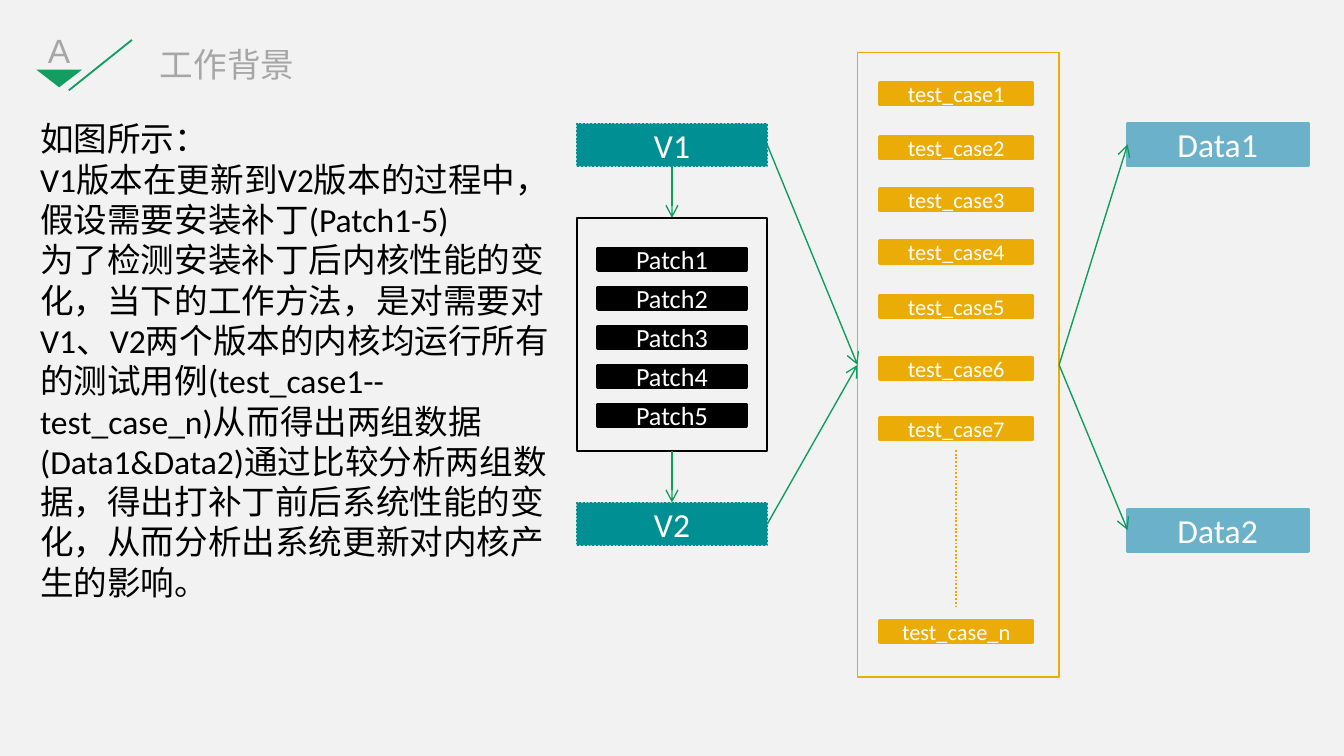
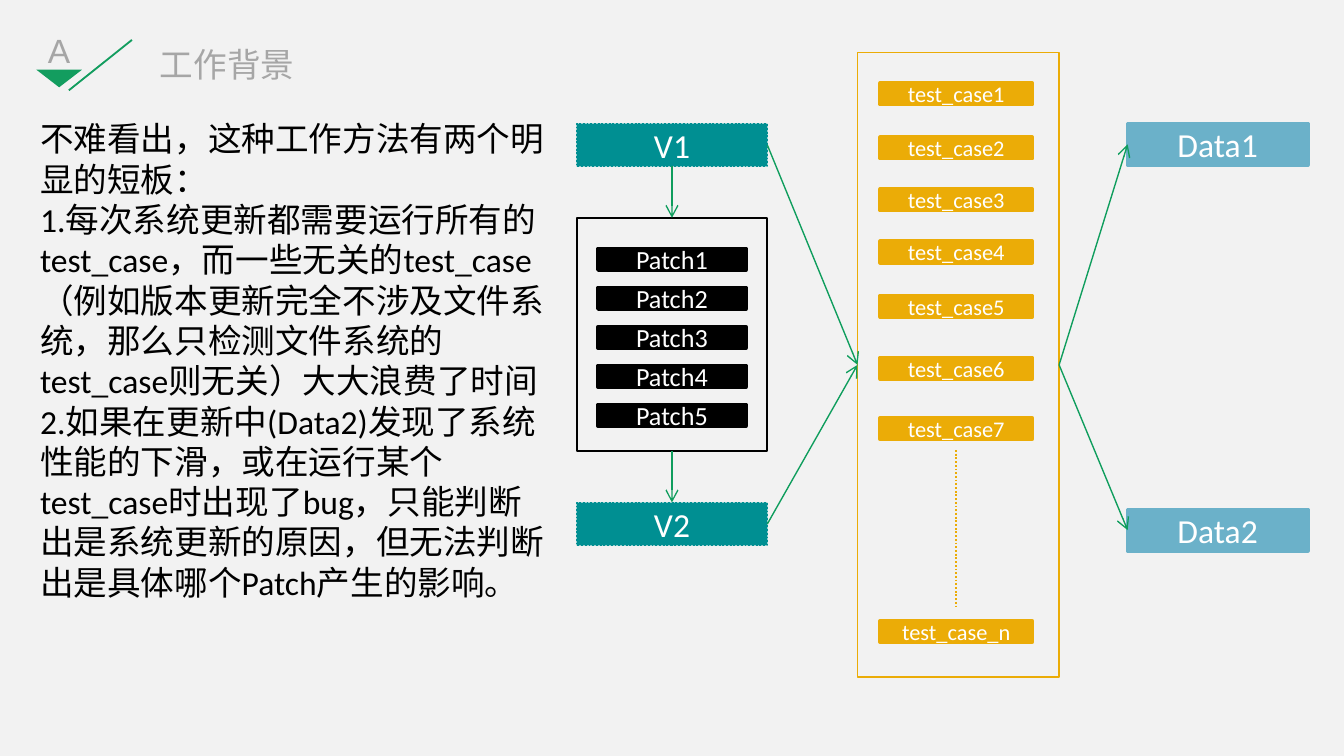
from dataclasses import dataclass

from lxml.etree import SubElement
from pptx import Presentation
from pptx.dml.color import RGBColor
from pptx.enum.dml import MSO_LINE
from pptx.enum.shapes import MSO_CONNECTOR, MSO_SHAPE
from pptx.enum.text import MSO_ANCHOR, MSO_AUTO_SIZE, PP_ALIGN
from pptx.oxml.ns import qn
from pptx.util import Pt


@dataclass(frozen=True)
class Theme:
    background: str = "F2F2F2"
    heading: str = "A6A6A6"
    mark: str = "139D5F"
    arrow: str = "0F9D5D"
    version: str = "008F92"
    test: str = "EBAC07"
    data: str = "6BB1C9"
    ink: str = "000000"
    white: str = "FFFFFF"
    heading_font: str = "Arial"
    body_font: str = "Calibri"
    large: float = 18
    medium: float = 14
    small: float = 12


@dataclass(frozen=True)
class Box:
    left: float
    top: float
    width: float
    height: float

    def inner(self, left, top, width, height):
        return Box(self.left + left, self.top + top, width, height)

    def lengths(self):
        return [Pt(value) for value in (self.left, self.top, self.width, self.height)]


THEME = Theme()
TOP, LEFT, BOTTOM, RIGHT = range(4)

HEADER = Box(18.7, 15.8, 209, 33)
VERSIONS = Box(308.9, 66.2, 102.2, 226)
TESTS = Box(459.4, 28.1, 108, 334.8)
RESULTS = Box(604.1, 66.2, 96.5, 229)

TEST_TOPS = {
    "test_case1": 16.4,
    "test_case2": 45.4,
    "test_case3": 73.2,
    "test_case4": 101.2,
    "test_case5": 130.3,
    "test_case6": 163.5,
    "test_case7": 195.8,
    "test_case_n": 304.5,
}

BACKGROUND_TEXT = [
    "如图所示：",
    "V1版本在更新到V2版本的过程中，假设需要安装补丁(Patch1-5)",
    "为了检测安装补丁后内核性能的变化，当下的工作方法，是对需要对V1、V2两个版本的内核"
    "均运行所有的测试用例(test_case1--test_case_n)从而得出两组数据(Data1&Data2)"
    "通过比较分析两组数据，得出打补丁前后系统性能的变化，从而分析出系统更新对内核产生的影响。",
]
SHORTCOMINGS_TEXT = [
    "不难看出，这种工作方法有两个明显的短板：\n"
    "1.每次系统更新都需要运行所有的test_case，而一些无关的test_case"
    "（例如版本更新完全不涉及文件系统，那么只检测文件系统的test_case则无关）大大浪费了时间",
    "2.如果在更新中(Data2)发现了系统性能的下滑，或在运行某个test_case时出现了bug，"
    "只能判断出是系统更新的原因，但无法判断出是具体哪个Patch产生的影响。",
]


def assign(target, values):
    for name, value in values.items():
        setattr(target, name, value)


def paint(fill, color):
    fill.solid()
    fill.fore_color.rgb = RGBColor.from_string(color)


def stroke(line, color, width, dash=None):
    paint(line.fill, color)
    assign(line, {"width": Pt(width), "dash_style": dash})


def write(frame, paragraphs, size, color, font, align=None):
    for index, text in enumerate(paragraphs):
        para = frame.paragraphs[0] if index == 0 else frame.add_paragraph()
        assign(para, {"text": text, "alignment": align})
        for span in para.runs:
            assign(span.font, {"size": Pt(size), "name": font})
            span.font.color.rgb = RGBColor.from_string(color)


def add_text(shapes, box, paragraphs, color, font, align=None, **frame_format):
    frame = shapes.add_textbox(*box.lengths()).text_frame
    assign(frame, {"word_wrap": True, "auto_size": MSO_AUTO_SIZE.SHAPE_TO_FIT_TEXT, **frame_format})
    write(frame, paragraphs, THEME.large, color, font, align)


def add_frame(page, box, color):
    shape = page.shapes.add_shape(MSO_SHAPE.RECTANGLE, *box.lengths())
    shape.shadow.inherit = False
    shape.fill.background()
    stroke(shape.line, color, 1)
    return shape


def add_label(page, box, text, color, size, width=2, dash=None):
    shape = add_frame(page, box, color)
    paint(shape.fill, color)
    stroke(shape.line, color, width, dash)
    shape.text_frame.vertical_anchor = MSO_ANCHOR.MIDDLE
    write(shape.text_frame, [text], size, THEME.white, THEME.body_font, PP_ALIGN.CENTER)
    return shape


def add_line(shapes, start, end, color, width, dash=None):
    points = [Pt(value) for value in (*start, *end)]
    line = shapes.add_connector(MSO_CONNECTOR.STRAIGHT, *points)
    stroke(line.line, color, width, dash)
    SubElement(line._element.spPr, qn("a:effectLst"))
    return line


def add_arrow(page, source, source_side, target, target_side):
    arrow = add_line(page.shapes, (0, 0), (0, 0), THEME.arrow, 0.75)
    arrow.begin_connect(source, source_side)
    arrow.end_connect(target, target_side)
    SubElement(arrow.line._get_or_add_ln(), qn("a:tailEnd"), type="arrow")


def add_header(page, box, title):
    shapes = page.shapes.add_group_shape().shapes
    flush = dict.fromkeys(("margin_left", "margin_top", "margin_right", "margin_bottom"), 0)
    add_text(shapes, box.inner(67, 8, 141.8, 21.6), [title], THEME.heading, THEME.heading_font,
             vertical_anchor=MSO_ANCHOR.MIDDLE, **flush)
    add_line(shapes, (box.left + 52, box.top + 5.6), (box.left + 18.2, box.top + 32.6), THEME.mark, 1)
    corners = [(Pt(box.left + x), Pt(box.top + y)) for x, y in ((0.8, 21.6), (25.2, 21.6), (13, 31))]
    outline = shapes.build_freeform(*corners[0])
    outline.add_line_segments(corners[1:], close=True)
    triangle = outline.convert_to_shape()
    triangle.shadow.inherit = False
    paint(triangle.fill, THEME.mark)
    triangle.line.fill.background()
    add_text(shapes, box.inner(0, 0, 25.9, 21.6), ["A"], THEME.heading, THEME.heading_font,
             PP_ALIGN.CENTER, vertical_anchor=MSO_ANCHOR.BOTTOM, **flush)


def add_versions(page, box):
    for index in range(5):
        add_label(page, box.inner(11.5, 67 + 20.9 * index, 79.2, 11.5),
                  f"Patch{index + 1}", THEME.ink, THEME.medium)
    patches = add_frame(page, box.inner(0, 50.5, box.width, 124.8), THEME.ink)
    before, after = [
        add_label(page, box.inner(0, top, box.width, 23), text, THEME.version, THEME.large,
                  1, MSO_LINE.ROUND_DOT)
        for text, top in (("V1", 0), ("V2", box.height - 23))
    ]
    add_arrow(page, before, BOTTOM, patches, TOP)
    add_arrow(page, patches, BOTTOM, after, TOP)
    return before, after


def add_tests(page, box):
    for text, top in TEST_TOPS.items():
        add_label(page, box.inner(12.2, top, 81.4, 11.5), text, THEME.test, THEME.small)
    middle = box.left + 52.7
    add_line(page.shapes, (middle, box.top + 213), (middle, box.top + 298), THEME.test, 1,
             MSO_LINE.ROUND_DOT)
    return add_frame(page, box, THEME.test)


def add_results(page, box):
    return [
        add_label(page, box.inner(0, top, box.width, 22.3), text, THEME.data, THEME.large)
        for text, top in (("Data1", 0), ("Data2", box.height - 22.3))
    ]


def add_workflow_page(deck, paragraphs, text_height):
    page = deck.slides.add_slide(deck.slide_layouts[6])
    paint(page.background.fill, THEME.background)
    add_header(page, HEADER, "工作背景")
    versions = add_versions(page, VERSIONS)
    tests = add_tests(page, TESTS)
    results = add_results(page, RESULTS)
    for version in versions:
        add_arrow(page, version, RIGHT, tests, LEFT)
    for result in results:
        add_arrow(page, tests, RIGHT, result, LEFT)
    add_text(page.shapes, Box(14.4, 59.8, 288.7, text_height), paragraphs, THEME.ink, THEME.body_font)


def main():
    deck = Presentation()
    assign(deck, {"slide_width": Pt(720), "slide_height": Pt(405)})
    add_workflow_page(deck, BACKGROUND_TEXT, 247)
    add_workflow_page(deck, SHORTCOMINGS_TEXT, 268.6)
    deck.save("out.pptx")


if __name__ == "__main__":
    main()
